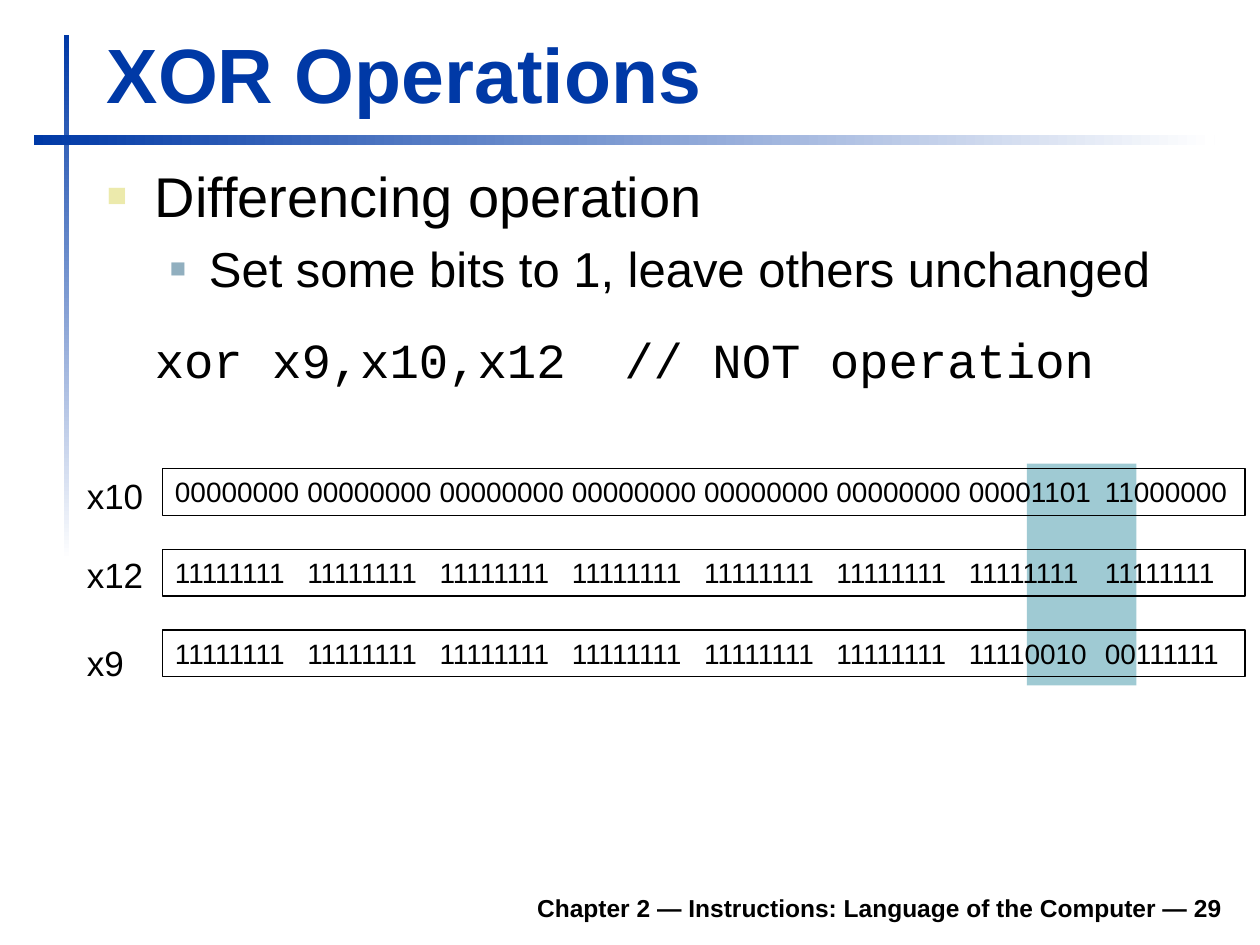
from lxml.etree import SubElement
from pptx import Presentation
from pptx.dml.color import RGBColor
from pptx.enum.shapes import MSO_SHAPE
from pptx.enum.text import MSO_ANCHOR, PP_ALIGN
from pptx.oxml.ns import qn
from pptx.util import Inches, Pt

BLUE = RGBColor(0x00, 0x39, 0xA6)
WHITE = RGBColor(0xFF, 0xFF, 0xFF)
BLACK = RGBColor(0x00, 0x00, 0x00)
TEAL = RGBColor(0x9F, 0xCA, 0xD3)
CREAM = RGBColor(0xEC, 0xEA, 0xAC)
STEEL = RGBColor(0x91, 0xAF, 0xBF)

COLS, ROWS = 100, 75
WIDE, HIGH = Inches(10), Inches(7.5)

ZERO, ONES = "00000000", "11111111"
WORDS = [
    ("x10", 0, [ZERO] * 6 + ["00001101", "11000000"]),
    ("x12", -0.2, [ONES] * 8),
    ("x9", 0.4, [ONES] * 6 + ["11110010", "00111111"]),
]


def span(cols):
    """Turn grid columns into a length."""
    return round(WIDE * cols / COLS)


def place(box):
    """Turn a grid box into left, top, width and height."""
    left, top, wide, high = box
    return span(left), round(HIGH * top / ROWS), span(wide), round(HIGH * high / ROWS)


def add_run(para, text, size, color=BLACK, font="Arial", bold=False):
    """Add one styled run to a paragraph."""
    run = para.add_run()
    run.text = text
    run.font.size = Pt(size)
    run.font.name = font
    run.font.bold = bold
    run.font.color.rgb = color


def add_text(slide, box, anchor=MSO_ANCHOR.TOP, wrap=True):
    """Add a text box and return its frame."""
    frame = slide.shapes.add_textbox(*place(box)).text_frame
    frame.word_wrap = wrap
    frame.vertical_anchor = anchor
    return frame


def add_rect(slide, box):
    """Add a flat rectangle without fill or line."""
    rect = slide.shapes.add_shape(MSO_SHAPE.RECTANGLE, *place(box))
    rect.shadow.inherit = False
    rect.fill.background()
    rect.line.fill.background()
    return rect


def add_rules(slide, box):
    """Draw the crossed fading rules of the frame."""
    left, top, wide, high = box
    bars = [((left + 2.4, top, 0.4, high), 270), ((left, top + 7.9, wide, 0.8), 0)]
    for bar, angle in bars:
        fill = add_rect(slide, bar).fill
        fill.gradient()
        fill.gradient_angle = angle
        for stop, color in zip(fill.gradient_stops, (BLUE, WHITE)):
            stop.color.rgb = color


def add_title(slide, box):
    """Write the heading."""
    frame = add_text(slide, box, MSO_ANCHOR.BOTTOM)
    add_run(frame.paragraphs[0], "XOR Operations", 44, BLUE, bold=True)


def add_foot(slide, box):
    """Write the chapter line."""
    para = add_text(slide, box, MSO_ANCHOR.BOTTOM).paragraphs[0]
    para.alignment = PP_ALIGN.RIGHT
    add_run(para, "Chapter 2 — Instructions: Language of the Computer — 29", 14, bold=True)


def indent(para, left, hang=0, color=None, share=0):
    """Indent a paragraph and give it a square bullet if coloured."""
    props = para._p.get_or_add_pPr()
    props.set("marL", str(span(left)))
    props.set("indent", str(-span(hang)))
    if color is None:
        SubElement(props, qn("a:buNone"))
        return
    tint = SubElement(props, qn("a:buClr"))
    SubElement(tint, qn("a:srgbClr"), val=str(color))
    SubElement(props, qn("a:buSzPct"), val=str(share * 1000))
    SubElement(props, qn("a:buFont"), typeface="Arial")
    SubElement(props, qn("a:buChar"), char="■")


def add_body(slide, box):
    """Write the two points and the line of code."""
    frame = add_text(slide, box)
    point, detail, code = frame.paragraphs[0], frame.add_paragraph(), frame.add_paragraph()
    for para, gap in ((point, 7), (detail, 6), (code, 18)):
        para.space_before = Pt(gap)
    detail.level = 1
    indent(point, 3.8, 3.8, CREAM, 60)
    indent(detail, 8.1, 3.1, STEEL, 55)
    indent(code, 3.8)
    add_run(point, "Differencing operation", 32)
    add_run(detail, "Set some bits to 1, leave others unchanged", 28)
    add_run(code, "xor x9,x10,x12  // NOT operation", 28, font="Courier New")


def add_word(slide, box, parts):
    """Draw one register with its bytes on tab stops."""
    rect = add_rect(slide, box)
    rect.line.color.rgb = BLACK
    rect.line.width = Pt(0.75)
    frame = rect.text_frame
    frame.word_wrap = True
    frame.vertical_anchor = MSO_ANCHOR.TOP
    para = frame.paragraphs[0]
    para.alignment = PP_ALIGN.LEFT
    tabs = SubElement(para._p.get_or_add_pPr(), qn("a:tabLst"))
    for stop in [10.5 * n for n in range(1, 7)] + [73.8]:
        SubElement(tabs, qn("a:tab"), pos=str(span(stop)), algn="l")
    add_run(para, "\t".join(parts), 16)


def add_bits(slide, box):
    """Draw the labelled registers over the marked bits."""
    left, top, wide, high = box
    band = add_rect(slide, (left + 75.6, top, 8.7, high))
    band.fill.solid()
    band.fill.fore_color.rgb = TEAL
    for row, (name, shift, parts) in enumerate(WORDS):
        level = top + 0.4 + 6.4 * row
        add_word(slide, (left + 7, level, wide - 7, 3.7), parts)
        frame = add_text(slide, (left, level + shift, 6.5, 4.4), wrap=False)
        add_run(frame.paragraphs[0], name, 20)


def main():
    """Build the slide and save it."""
    deck = Presentation()
    deck.slide_width, deck.slide_height = WIDE, HIGH
    slide = deck.slides.add_slide(deck.slide_layouts[6])
    add_rules(slide, (2.7, 2.8, 93.7, 41.7))
    add_foot(slide, (18.5, 69.8, 79.5, 3.9))
    add_title(slide, (7.5, 1.6, 90.3, 8.3))
    add_body(slide, (7.5, 12.3, 90.5, 22.7))
    add_bits(slide, (5.9, 36.8, 92.9, 17.6))
    deck.save("out.pptx")


if __name__ == "__main__":
    main()
